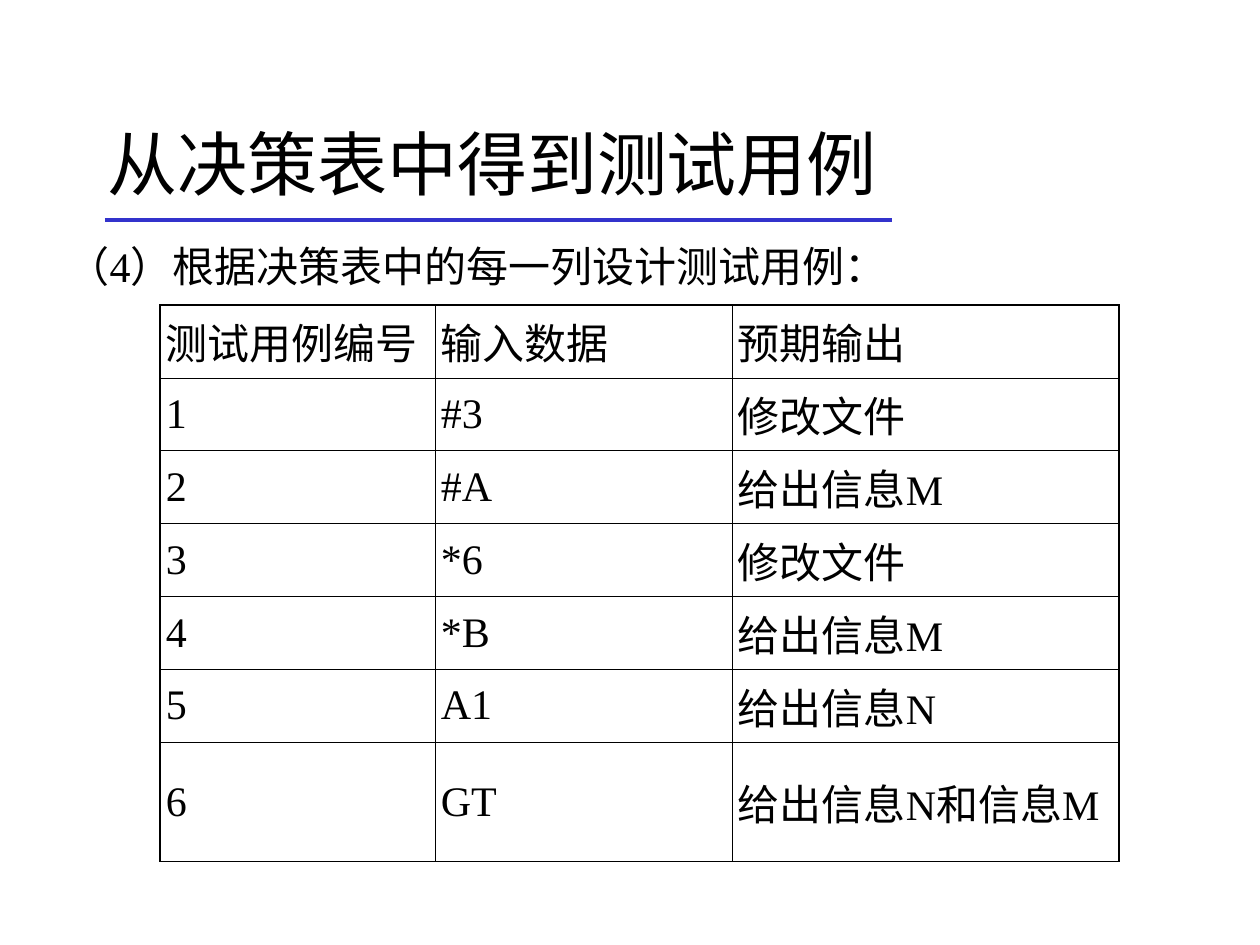
from lxml import etree
from pptx import Presentation
from pptx import util as u
from pptx.dml.color import RGBColor
from pptx.enum import shapes, text
from pptx.oxml.ns import qn

PX = 914400 / 126
COLORS = {"ink": "000000", "rule": "3333CC"}
FONT = "Times New Roman"
THIN, THICK = 0.45, 1.08


def px(*lengths):
    return [u.Emu(round(length * PX)) for length in lengths]


def style_text(frame, size):
    para = frame.paragraphs[0]
    para.alignment = text.PP_ALIGN.LEFT
    para.space_before = u.Pt(0)
    for span in para.runs:
        span.font.name = FONT
        span.font.size = u.Pt(size)
        span.font.color.rgb = RGBColor.from_string(COLORS["ink"])


deck = Presentation()
deck.slide_width, deck.slide_height = px(1260, 945)
page = deck.slides.add_slide(deck.slide_layouts[1])

title, body = page.placeholders
title.left, title.top, title.width, title.height = px(95, 84, 1071, 158)
title.text_frame.text = "从决策表中得到测试用例"
title.text_frame.auto_size = text.MSO_AUTO_SIZE.NONE
title.text_frame.vertical_anchor = text.MSO_ANCHOR.MIDDLE
style_text(title.text_frame, 40)

body.left, body.top, body.width, body.height = px(55, 234, 1153, 79)
body.text_frame.text = "（4）根据决策表中的每一列设计测试用例："
body.text_frame.auto_size = text.MSO_AUTO_SIZE.NONE
indent = body.text_frame.paragraphs[0]._p.get_or_add_pPr()
hanging = px(48)[0]
indent.set("marL", str(hanging))
indent.set("indent", str(-hanging))
etree.SubElement(indent, qn("a:buNone"))
style_text(body.text_frame, 24)

rule = page.shapes.add_connector(shapes.MSO_CONNECTOR.STRAIGHT, *px(105, 220, 892, 220))
rule.line.color.rgb = RGBColor.from_string(COLORS["rule"])
rule.line.width = u.Pt(2.25)
etree.SubElement(rule._element.spPr, qn("a:effectLst"))

cases = [
    ("测试用例编号", "输入数据", "预期输出"),
    ("1", "#3", "修改文件"),
    ("2", "#A", "给出信息M"),
    ("3", "*6", "修改文件"),
    ("4", "*B", "给出信息M"),
    ("5", "A1", "给出信息N"),
    ("6", "GT", "给出信息N和信息M"),
]
widths = [275, 297, 387]
heights = [72] * 6 + [113]
last_row, last_col = len(heights) - 1, len(widths) - 1

table = page.shapes.add_table(
    len(heights), len(widths), *px(160, 305, sum(widths), sum(heights))
).table
table.first_row = False
table.horz_banding = False
for column, width in zip(table.columns, px(*widths)):
    column.width = width
for row, height in zip(table.rows, px(*heights)):
    row.height = height

for r, case in enumerate(cases):
    for c, words in enumerate(case):
        cell = table.cell(r, c)
        cell.text = words
        cell.vertical_anchor = text.MSO_ANCHOR.MIDDLE
        cell.margin_left = cell.margin_top = cell.margin_right = cell.margin_bottom = px(6)[0]
        style_text(cell.text_frame, 24)
        outer = {"lnL": c == 0, "lnR": c == last_col, "lnT": r == 0, "lnB": r == last_row}
        for side, is_outer in outer.items():
            border = etree.SubElement(cell._tc.get_or_add_tcPr(), qn(f"a:{side}"))
            border.set("w", str(u.Pt(THICK if is_outer else THIN)))
            fill = etree.SubElement(border, qn("a:solidFill"))
            etree.SubElement(fill, qn("a:srgbClr")).set("val", COLORS["ink"])
        cell.fill.background()

deck.save("out.pptx")
